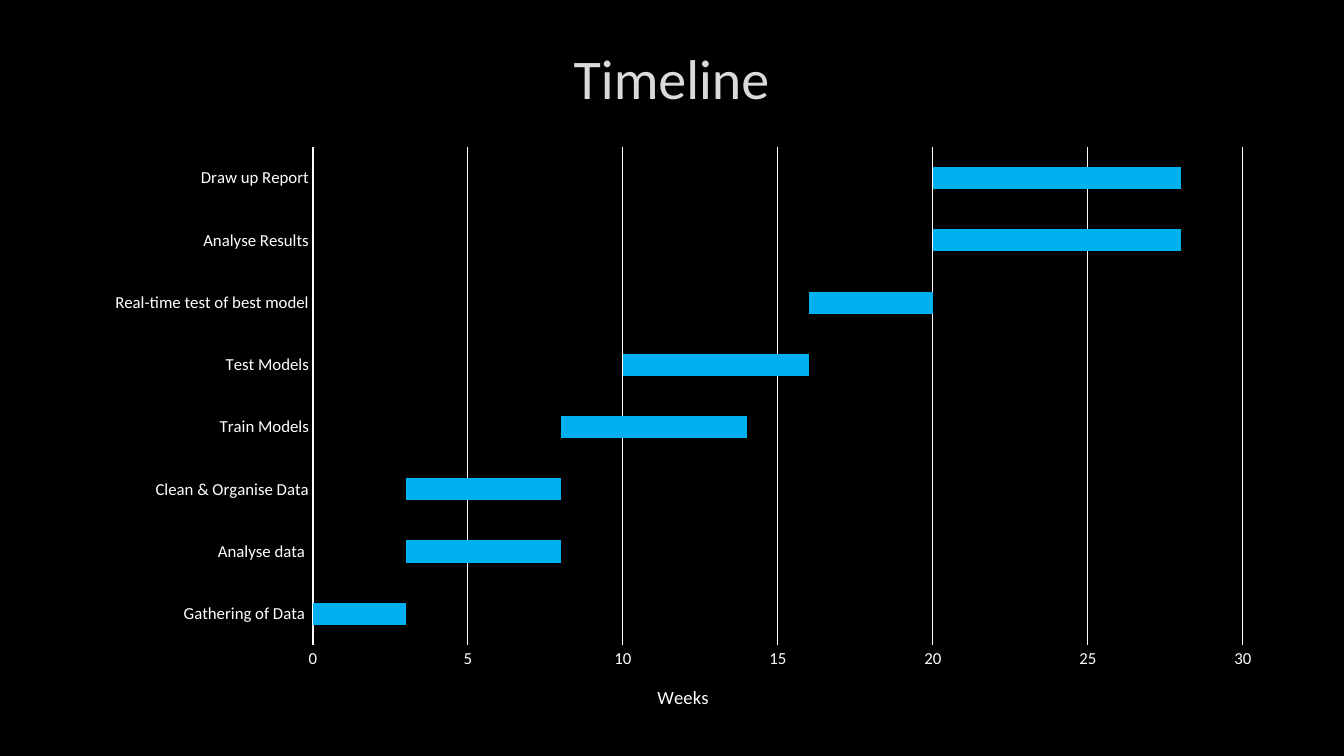
"""Build a project timeline slide with a Gantt-style stacked bar chart."""
from pptx import Presentation
from pptx.chart.data import CategoryChartData
from pptx.dml.color import RGBColor
from pptx.enum.chart import XL_CHART_TYPE, XL_TICK_MARK
from pptx.enum.text import MSO_ANCHOR, PP_ALIGN
from pptx.oxml import parse_xml
from pptx.oxml.ns import nsdecls, qn
from pptx.util import Pt

BAR_STACKED = XL_CHART_TYPE.BAR_STACKED
NO_TICK = XL_TICK_MARK.NONE
MIDDLE = MSO_ANCHOR.MIDDLE
CENTER = PP_ALIGN.CENTER
PX = 914400 / 100.8
FONT = "Calibri"
COLORS = {"back": "000000", "title": "DADADA", "text": "FFFFFF",
          "bar": "00B0F0", "spare": "BB8640"}
TITLE_BOX = (101, 24, 1141, 107)
CHART_BOX = (92, 135, 1182, 598)
TASKS = [
    ("Gathering of Data ", 3, None),
    ("Analyse data ", 3, 5),
    ("Clean & Organise Data", 3, 5),
    ("Train Models", 8, 6),
    ("Test Models", 10, 6),
    ("Real-time test of best model", 16, 4),
    ("Analyse Results", 20, 8),
    ("Draw up Report", 20, 8),
]


def style(font, size, color):
    for name, value in {"name": FONT, "size": Pt(size), "bold": False}.items():
        setattr(font, name, value)
    font.color.rgb = RGBColor.from_string(COLORS[color])


def place(parent, index, *lengths):
    for old in parent.findall(qn("c:layout")):
        parent.remove(old)
    target = '<c:layoutTarget val="inner"/>' if len(lengths) == 4 else ""
    sizes = "".join(f'<c:{key} val="{length / whole}"/>' for key, length, whole
                    in zip("xywh", lengths, CHART_BOX[2:] * 2))
    parent.insert(index, parse_xml(
        f'<c:layout {nsdecls("c")}><c:manualLayout>{target}'
        f'<c:xMode val="edge"/><c:yMode val="edge"/>{sizes}'
        "</c:manualLayout></c:layout>"))


prs = Presentation()
prs.slide_width, prs.slide_height = int(1344 * PX), int(756 * PX)
s = prs.slides.add_slide(prs.slide_layouts[5])
s.background.fill.solid()
s.background.fill.fore_color.rgb = RGBColor.from_string(COLORS["back"])

title = s.shapes.title
for side, length in zip(("left", "top", "width", "height"), TITLE_BOX):
    setattr(title, side, int(length * PX))
title.text_frame.vertical_anchor = MIDDLE
p = title.text_frame.paragraphs[0]
p.alignment = CENTER
r = p.add_run()
r.text = "Timeline"
style(r.font, 40, "title")

names, starts, durations = zip(*TASKS)
data = CategoryChartData()
data.categories = names
data.add_series("Series 1", starts)
data.add_series("Series 2", durations)
data.add_series("Series 3", [None] * len(TASKS))
box = [int(length * PX) for length in CHART_BOX]
chart = s.shapes.add_chart(BAR_STACKED, *box, data).chart
chart.has_legend = False
chart.has_title = False
style(chart.font, 10, "text")

plot = chart.plots[0]
plot.gap_width = 182
plot.overlap = 100
plot.vary_by_categories = False
offset, duration, spare = plot.series
offset.format.fill.background()
for part, color in ((offset.points[0], "bar"), (duration, "bar"), (spare, "spare")):
    part.format.fill.solid()
    part.format.fill.fore_color.rgb = RGBColor.from_string(COLORS[color])

weeks = chart.value_axis
tasks = chart.category_axis
for axis in (tasks, weeks):
    axis.major_tick_mark = axis.minor_tick_mark = NO_TICK
    style(axis.tick_labels.font, 12, "text")
weeks.minimum_scale, weeks.maximum_scale, weeks.major_unit = 0, 30, 5
weeks.format.line.fill.background()
weeks.has_major_gridlines = True
for line in (tasks.format.line, weeks.major_gridlines.format.line):
    line.width = Pt(0.75)
    line.color.rgb = RGBColor.from_string(COLORS["text"])

p = weeks.axis_title.text_frame.paragraphs[0]
r = p.add_run()
r.text = "Weeks"
style(r.font, 13.3, "text")

area = chart.element.find(".//" + qn("c:plotArea"))
place(area, 0, 221, 12, 930, 498)
place(area.find(qn("c:valAx")).find(qn("c:title")), 1, 562, 546)

prs.save("out.pptx")
